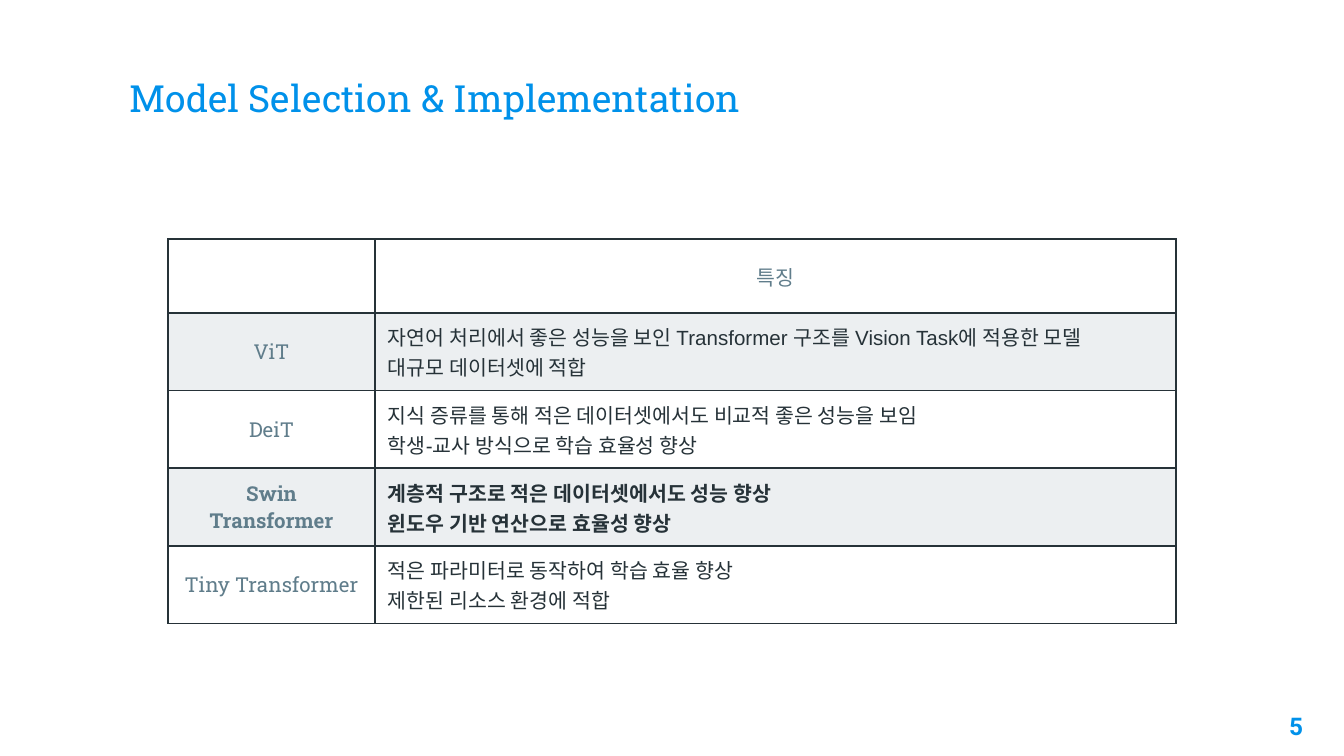
from dataclasses import dataclass

from lxml import etree
from pptx import Presentation
from pptx.dml.color import RGBColor
from pptx.enum.text import MSO_ANCHOR, MSO_AUTO_SIZE, PP_ALIGN
from pptx.oxml.ns import qn
from pptx.util import Emu, Pt

LEFT, CENTER, RIGHT = PP_ALIGN.LEFT, PP_ALIGN.CENTER, PP_ALIGN.RIGHT
TOP, MIDDLE = MSO_ANCHOR.TOP, MSO_ANCHOR.MIDDLE
NO_AUTOFIT = MSO_AUTO_SIZE.NONE

BLUE = RGBColor(0x00, 0x91, 0xEA)
SLATE = RGBColor(0x60, 0x7D, 0x8B)
DARK = RGBColor(0x26, 0x32, 0x38)
PALE = RGBColor(0xEC, 0xEF, 0xF1)
WHITE = RGBColor(0xFF, 0xFF, 0xFF)

PX_PER_INCH = 134.4
TITLE_LAYOUT = 5


def px(length: int) -> Emu:
    return Emu(round(length * 914400 / PX_PER_INCH))


@dataclass(frozen=True)
class TextStyle:
    font: str
    size: int
    color: RGBColor
    align: PP_ALIGN = LEFT
    bold: bool = False


@dataclass(frozen=True)
class ModelRow:
    name: tuple[str, ...]
    features: tuple[str, ...]
    bold: bool = False


TITLE = TextStyle("Roboto Slab", 20, BLUE)
PAGE_NUMBER = TextStyle("Roboto", 13, BLUE, RIGHT, True)

# A "\n" inside an entry is a line break within its paragraph
ROWS = (
    ModelRow((), ("특징",)),
    ModelRow(("ViT",), ("자연어 처리에서 좋은 성능을 보인 Transformer 구조를 "
                        "Vision Task에 적용한 모델\n대규모 데이터셋에 적합",)),
    ModelRow(("DeiT",), ("지식 증류를 통해 적은 데이터셋에서도 비교적 좋은 성능을 보임",
                         "학생-교사 방식으로 학습 효율성 향상")),
    ModelRow(("Swin", "Transformer"), ("계층적 구조로 적은 데이터셋에서도 성능 향상",
                                       "윈도우 기반 연산으로 효율성 향상"), True),
    ModelRow(("Tiny Transformer",), ("적은 파라미터로 동작하여 학습 효율 향상",
                                     "제한된 리소스 환경에 적합")),
)
COLUMN_WIDTHS = (207, 801)
ROW_HEIGHT = 74


def write(text_frame, paragraphs: tuple[str, ...], style: TextStyle) -> None:
    for index, text in enumerate(paragraphs):
        paragraph = text_frame.paragraphs[0] if index == 0 else text_frame.add_paragraph()
        paragraph.alignment = style.align
        for line_index, line in enumerate(text.split("\n")):
            if line_index:
                paragraph.add_line_break()
            run = paragraph.add_run()
            run.text = line
            run.font.name = style.font
            run.font.size = Pt(style.size)
            run.font.bold = style.bold
            run.font.color.rgb = style.color


def set_up_frame(text_frame, anchor: MSO_ANCHOR) -> None:
    text_frame.word_wrap = True
    text_frame.auto_size = NO_AUTOFIT
    text_frame.vertical_anchor = anchor
    text_frame.margin_left = text_frame.margin_right = px(13)
    text_frame.margin_top = text_frame.margin_bottom = px(13)


def add_borders(cell) -> None:
    properties = cell._tc.get_or_add_tcPr()
    for side in ("a:lnL", "a:lnR", "a:lnT", "a:lnB"):
        line = etree.SubElement(properties, qn(side), w=str(Pt(1)))
        fill = etree.SubElement(line, qn("a:solidFill"))
        etree.SubElement(fill, qn("a:srgbClr"), val=str(DARK))


def fill_cell(cell, paragraphs: tuple[str, ...], style: TextStyle, color: RGBColor) -> None:
    add_borders(cell)
    cell.fill.solid()
    cell.fill.fore_color.rgb = color
    cell.vertical_anchor = MIDDLE
    cell.margin_left = cell.margin_right = px(13)
    cell.margin_top = cell.margin_bottom = px(9)
    write(cell.text_frame, paragraphs, style)


def add_model_table(slide) -> None:
    frame = slide.shapes.add_table(len(ROWS), len(COLUMN_WIDTHS), px(168), px(239),
                                   px(sum(COLUMN_WIDTHS)), px(ROW_HEIGHT * len(ROWS)))
    table = frame.table
    table.first_row = table.horz_banding = False
    for column, width in zip(table.columns, COLUMN_WIDTHS):
        column.width = px(width)
    for index, row in enumerate(ROWS):
        table.rows[index].height = px(ROW_HEIGHT)
        color = PALE if index % 2 else WHITE
        label = TextStyle("Roboto Slab", 11, SLATE, CENTER, row.bold)
        body = TextStyle("Arial", 11, DARK, LEFT, row.bold)
        fill_cell(table.cell(index, 0), row.name, label, color)
        fill_cell(table.cell(index, 1), row.features, body if index else label, color)


def main() -> None:
    presentation = Presentation()
    presentation.slide_width, presentation.slide_height = px(1344), px(756)
    slide = presentation.slides.add_slide(presentation.slide_layouts[TITLE_LAYOUT])

    # Title
    title = slide.shapes.title
    title.left, title.top, title.width, title.height = px(116), px(46), px(1113), px(103)
    set_up_frame(title.text_frame, MIDDLE)
    write(title.text_frame, ("Model Selection & Implementation",), TITLE)

    # Model comparison
    add_model_table(slide)

    # Page number
    number = slide.shapes.add_textbox(px(1235), px(698), px(81), px(58))
    set_up_frame(number.text_frame, TOP)
    write(number.text_frame, ("5",), PAGE_NUMBER)

    presentation.save("out.pptx")


if __name__ == "__main__":
    main()
